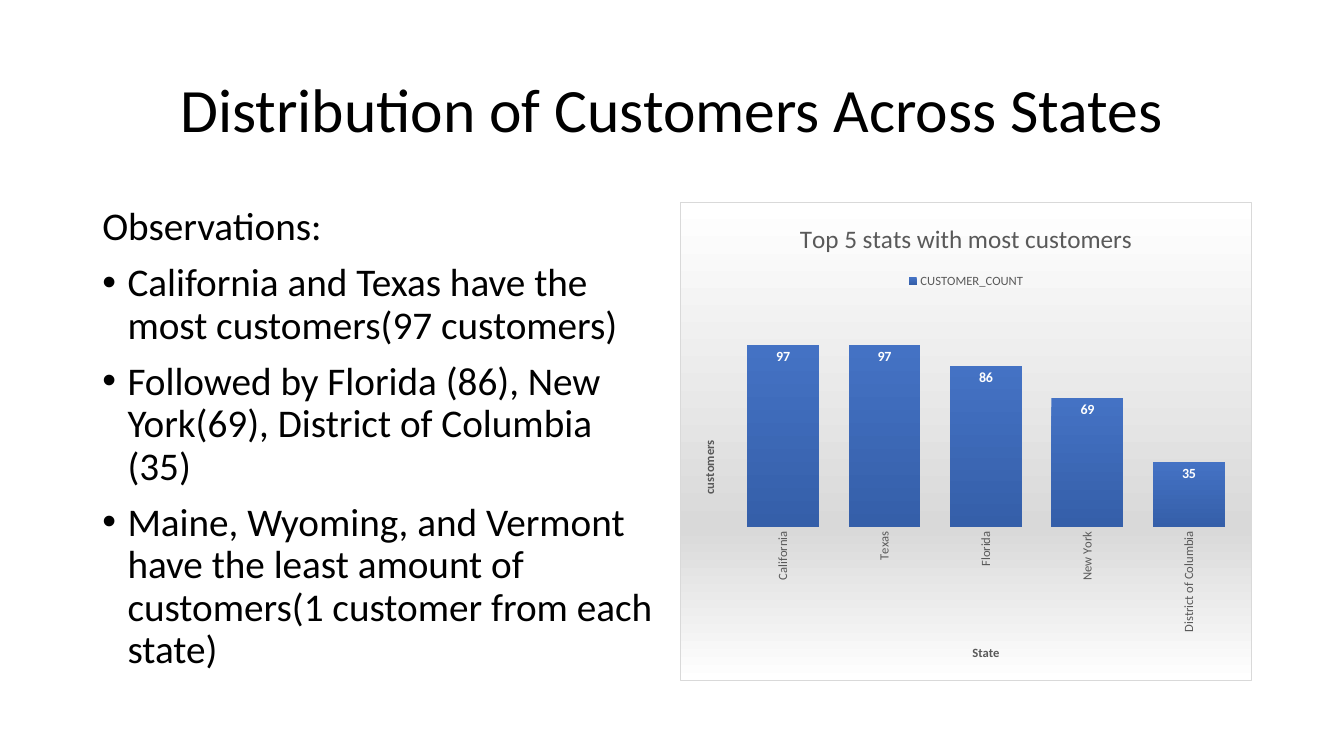
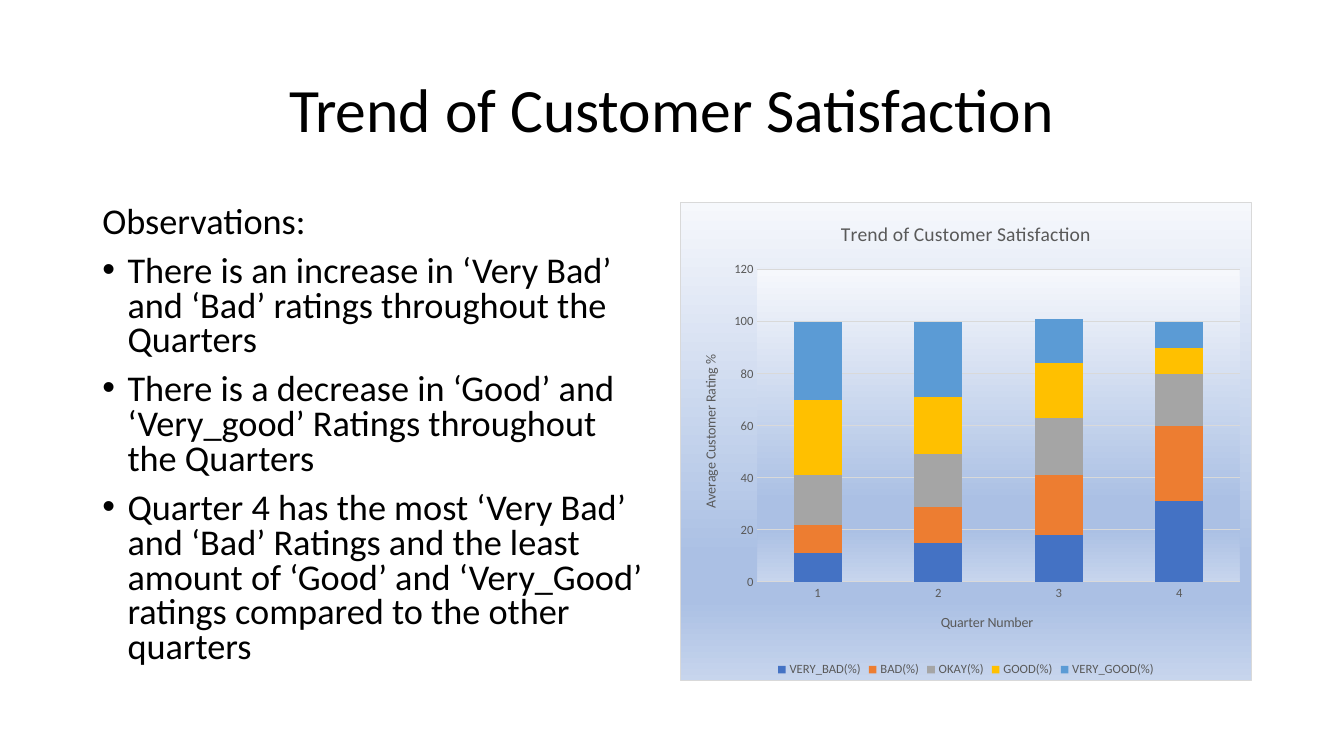
import lxml.etree
import pptx
import pptx.chart.data
import pptx.dml.color
import pptx.enum.chart
import pptx.enum.text
import pptx.oxml
import pptx.oxml.ns
import pptx.util

PX = 9525  # EMU in one px
PAGE = (1280, 720)
BOXES = {
    "title": (88, 38, 1104, 139),
    "body": (88, 192, 544, 457),
    "chart": (648, 192, 544, 457),
}
INDENT = 24

THEME = {
    "font": "Calibri",
    "text": "000000",
    "muted": "595959",
    "rule": "D9D9D9",
    "white": "FFFFFF",
    "title_size": 44,
    "axis_size": 9,
    "label_size": 10,
    "silver": [(0, "FFFFFF"), (68, "D9D9D9"), (100, "FFFFFF")],
    "sky": [(0, "F6F8FC"), (74, "ABC0E4"), (83, "ABC0E4"), (100, "C7D5ED")],
}

KIND = pptx.enum.chart.XL_CHART_TYPE
LEGEND = pptx.enum.chart.XL_LEGEND_POSITION

SLIDES = [
    {
        "title": "Distribution of Customers Across States",
        "lead": "Observations:",
        "points": [
            "California and Texas have the most customers(97 customers)",
            "Followed by Florida (86), New York(69), District of Columbia (35)",
            "Maine, Wyoming, and Vermont have the least amount of "
            "customers(1 customer from each state)",
        ],
        "size": 28,
        "line_spacing": 0.9,
        "chart": {
            "kind": KIND.COLUMN_CLUSTERED,
            "title": "Top 5 stats with most customers",
            "title_size": 18,
            "axis_titles": ("State", "customers"),
            "axis_title_font": {"size": 9, "bold": True},
            "categories": ["California", "Texas", "Florida", "New York",
                           "District of Columbia"],
            "series": [("CUSTOMER_COUNT", [97, 97, 86, 69, 35],
                        ("4472C4", "355FA9"))],
            "plot": {"gap_width": 41},
            "legend": LEGEND.TOP,
            "background": THEME["silver"],
            "plot_background": None,
            "show_scale": False,
            "category_turn": -90,
            "labels": True,
        },
    },
    {
        "title": "Trend of Customer Satisfaction",
        "lead": "Observations:",
        "points": [
            "There is an increase in ‘Very Bad’ and ‘Bad’ ratings "
            "throughout the Quarters",
            "There is a decrease in ‘Good’ and ‘Very_good’ Ratings "
            "throughout the Quarters",
            "Quarter 4 has the most ‘Very Bad’ and ‘Bad’ Ratings and the "
            "least amount of ‘Good’ and ‘Very_Good’ ratings compared to the "
            "other quarters",
        ],
        "size": 25.9,
        "line_spacing": 0.8,
        "chart": {
            "kind": KIND.COLUMN_STACKED,
            "title": "Trend of Customer Satisfaction",
            "title_size": 14,
            "axis_titles": ("Quarter Number", "Average Customer Rating %"),
            "axis_title_font": {"size": 10, "bold": False},
            "categories": ["1", "2", "3", "4"],
            "series": [
                ("VERY_BAD(%)", [11, 15, 18, 31], ("4472C4",)),
                ("BAD(%)", [11, 14, 23, 29], ("ED7D31",)),
                ("OKAY(%)", [19, 20, 22, 20], ("A5A5A5",)),
                ("GOOD(%)", [29, 22, 21, 10], ("FFC000",)),
                ("VERY_GOOD(%)", [30, 29, 17, 10], ("5B9BD5",)),
            ],
            "plot": {"gap_width": 150, "overlap": 100},
            "legend": LEGEND.BOTTOM,
            "background": THEME["sky"],
            "plot_background": THEME["sky"],
            "show_scale": True,
            "category_turn": 0,
            "labels": False,
        },
    },
]


def assign(target, values):
    for name, value in values.items():
        setattr(target, name, value)


def rgb(code):
    return pptx.dml.color.RGBColor.from_string(code)


def place(name):
    return [length * PX for length in BOXES[name]]


def style_font(font, size, color, bold=False):
    assign(font, {"name": THEME["font"], "size": pptx.util.Pt(size), "bold": bold})
    font.color.rgb = rgb(color)


def add_text_box(page, name, anchor):
    frame = page.shapes.add_textbox(*place(name)).text_frame
    assign(frame, {"word_wrap": True, "vertical_anchor": anchor})
    return frame


def write(para, text, size, values):
    span = para.add_run()
    span.text = text
    style_font(span.font, size, THEME["text"])
    assign(para, values)


def add_bullet(para):
    properties = para._p.get_or_add_pPr()
    assign_indent = {"marL": INDENT * PX, "indent": -INDENT * PX}
    for name, value in assign_indent.items():
        properties.set(name, str(value))
    for tag, name, value in (("a:buFont", "typeface", "Arial"),
                             ("a:buChar", "char", "•")):
        mark = lxml.etree.SubElement(properties, pptx.oxml.ns.qn(tag))
        mark.set(name, value)


def add_title(page, text):
    frame = add_text_box(page, "title", pptx.enum.text.MSO_ANCHOR.MIDDLE)
    write(frame.paragraphs[0], text, THEME["title_size"],
          {"alignment": pptx.enum.text.PP_ALIGN.CENTER, "line_spacing": 0.9})


def add_observations(page, content):
    frame = add_text_box(page, "body", pptx.enum.text.MSO_ANCHOR.TOP)
    spacing = {"line_spacing": content["line_spacing"],
               "space_before": pptx.util.Pt(10)}
    write(frame.paragraphs[0], content["lead"], content["size"], spacing)
    for point in content["points"]:
        para = frame.add_paragraph()
        write(para, point, content["size"], spacing)
        add_bullet(para)


def area_format(stops, border=None):
    """Shape properties with a top-to-bottom gradient and an optional border."""
    marks = "".join(
        f'<a:gs pos="{position * 1000}"><a:srgbClr val="{color}"/></a:gs>'
        for position, color in stops)
    line = "<a:ln><a:noFill/></a:ln>"
    if border:
        line = (f'<a:ln w="{PX}"><a:solidFill><a:srgbClr val="{border}"/>'
                "</a:solidFill></a:ln>")
    return pptx.oxml.parse_xml(
        f'<c:spPr {pptx.oxml.ns.nsdecls("c", "a")}><a:gradFill><a:gsLst>{marks}'
        f'</a:gsLst><a:lin ang="5400000" scaled="0"/></a:gradFill>{line}</c:spPr>')


def turn(body, degrees):
    body.set("rot", str(degrees * 60000))
    body.set("vert", "horz")


def set_title(owner, text, size, bold=False):
    frame = owner.text_frame
    frame.text = text
    style_font(frame.paragraphs[0].runs[0].font, size, THEME["muted"], bold)
    return frame


def color_series(series, colors):
    series.invert_if_negative = False
    fill = series.format.fill
    if len(colors) == 1:
        fill.solid()
        fill.fore_color.rgb = rgb(colors[0])
        return
    fill.gradient()
    fill.gradient_angle = 270
    for stop, color in zip(fill.gradient_stops, colors):
        stop.color.rgb = rgb(color)


def format_axes(chart, content):
    axes = (chart.category_axis, chart.value_axis)
    none = pptx.enum.chart.XL_TICK_MARK.NONE
    for axis, text, degrees in zip(axes, content["axis_titles"], (0, -90)):
        assign(axis, {"major_tick_mark": none, "minor_tick_mark": none,
                      "has_major_gridlines": False})
        style_font(axis.tick_labels.font, THEME["axis_size"], THEME["muted"])
        axis.format.line.fill.background()
        frame = set_title(axis.axis_title, text, **content["axis_title_font"])
        turn(frame._txBody.bodyPr, degrees)
    category, value = axes
    if content["category_turn"]:
        labels = category._element.find(pptx.oxml.ns.qn("c:txPr"))
        turn(labels.find(pptx.oxml.ns.qn("a:bodyPr")), content["category_turn"])
    assign(value, {"minimum_scale": 0, "maximum_scale": 120, "major_unit": 20,
                   "visible": content["show_scale"],
                   "has_major_gridlines": content["show_scale"]})
    if content["show_scale"]:
        line = value.major_gridlines.format.line
        line.width = pptx.util.Pt(0.75)
        line.color.rgb = rgb(THEME["rule"])


def add_column_chart(page, content):
    data = pptx.chart.data.CategoryChartData()
    data.categories = content["categories"]
    for name, values, _ in content["series"]:
        data.add_series(name, values)
    chart = page.shapes.add_chart(content["kind"], *place("chart"), data).chart
    style_font(chart.font, THEME["label_size"], THEME["text"])
    set_title(chart.chart_title, content["title"], content["title_size"])

    chart.has_legend = True
    assign(chart.legend, {"position": content["legend"], "include_in_layout": False})
    style_font(chart.legend.font, THEME["axis_size"], THEME["muted"])

    plot = chart.plots[0]
    assign(plot, {"vary_by_categories": False, **content["plot"]})
    for series, (_, _, colors) in zip(plot.series, content["series"]):
        color_series(series, colors)
    if content["labels"]:
        plot.has_data_labels = True
        labels = plot.data_labels
        assign(labels, {"show_value": True,
                        "position": pptx.enum.chart.XL_LABEL_POSITION.INSIDE_END})
        style_font(labels.font, THEME["label_size"], THEME["white"], True)
    format_axes(chart, content)

    body = chart.element.find(pptx.oxml.ns.qn("c:chart"))
    body.addnext(area_format(content["background"], THEME["rule"]))
    if content["plot_background"]:
        plot_area = body.find(pptx.oxml.ns.qn("c:plotArea"))
        plot_area.append(area_format(content["plot_background"]))


def main():
    deck = pptx.Presentation()
    deck.slide_width, deck.slide_height = (length * PX for length in PAGE)
    for content in SLIDES:
        page = deck.slides.add_slide(deck.slide_layouts[6])
        add_title(page, content["title"])
        add_observations(page, content)
        add_column_chart(page, content["chart"])
    deck.save("out.pptx")


if __name__ == "__main__":
    main()
